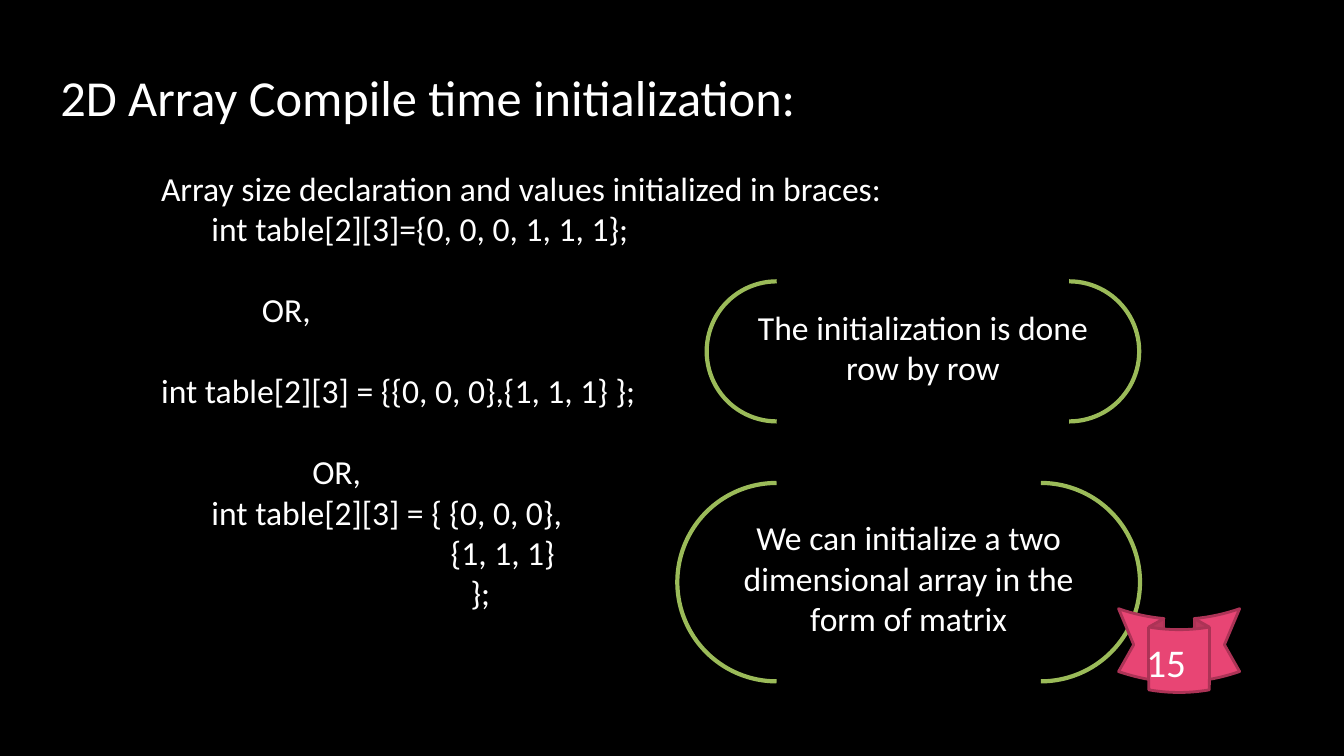
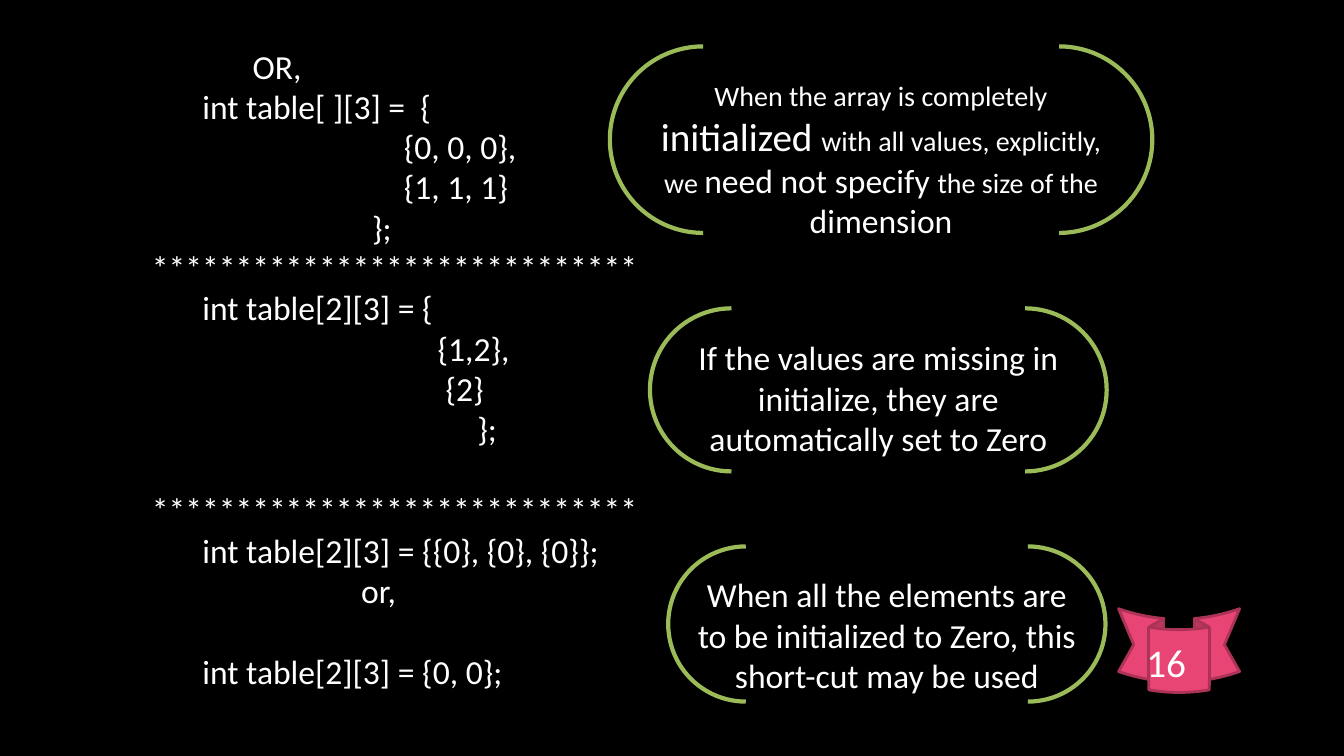
"""Two slides on initializing two-dimensional arrays in C."""
from pptx import Presentation
from pptx.dml.color import RGBColor
from pptx.enum.shapes import MSO_SHAPE
from pptx.enum.text import MSO_ANCHOR, PP_ALIGN
from pptx.util import Cm, Pt

BRACKET, RIBBON = MSO_SHAPE.DOUBLE_BRACKET, MSO_SHAPE.CURVED_DOWN_RIBBON
TOP, MIDDLE = MSO_ANCHOR.TOP, MSO_ANCHOR.MIDDLE
LEFT, CENTER, RIGHT = PP_ALIGN.LEFT, PP_ALIGN.CENTER, PP_ALIGN.RIGHT
BLACK, WHITE, GREEN = "000000", "FFFFFF", "9BBB59"
PINK, DARK_PINK = "E84574", "AC3356"
FONT = "Calibri"
BODY, LINE = 24, 29
TAB = 1.27
STARS = "*" * 29

COMPILE_TIME_CODE = [
    (0, 0, "Array size declaration and values initialized in braces:"),
    (TAB, 0, "int table[2][3]={0, 0, 0, 1, 1, 1};"),
    (2 * TAB, 1, "OR,"),
    (0, 1, "int table[2][3] = {{0, 0, 0},{1, 1, 1} };"),
    (3 * TAB, 1, "OR,"),
    (TAB, 0, "int table[2][3] = { {0, 0, 0},"),
    (7.3, 0, "{1, 1, 1}"),
    (7.8, 0, "};"),
]
COMPILE_TIME_NOTES = [
    ((17.81, 7.09, 10.9, 3.53), [("The initialization is done row by row", BODY)]),
    ((17.07, 12.17, 11.66, 5),
     [("We can initialize a two dimensional array in the form of matrix", BODY)]),
]
SHORT_FORM_CODE = [
    (2 * TAB, 0, "OR,"),
    (TAB, 0, "int table[ ][3] =  {"),
    (5 * TAB, 0, "{0, 0, 0},"),
    (5 * TAB, 0, "{1, 1, 1}"),
    (5.55, 0, "};"),
    (0, 0, STARS),
    (TAB, 0, "int table[2][3] = {"),
    (7.2, 0, "{1,2},"),
    (7.4, 0, "{2}"),
    (8.2, 0, "};"),
    (0, 1, STARS),
    (TAB, 0, "int table[2][3] = {{0}, {0}, {0}};"),
    (5.27, 0, "or,"),
    (TAB, 1, "int table[2][3] = {0, 0};"),
]
SHORT_FORM_NOTES = [
    ((15.37, 1.17, 13.67, 4.7),
     [("When the array is completely ", 20), ("initialized ", 28),
      ("with all values, explicitly, we ", 20), ("need not specify ", BODY),
      ("the size of the ", 20), ("dimension", BODY)]),
    ((16.38, 7.77, 11.51, 4.11),
     [("If the values are missing in initialize, they are automatically set to Zero", BODY)]),
    ((16.84, 13.77, 11.02, 3.91),
     [("When all the elements are to be initialized to Zero, this short-cut may be used",
       BODY)]),
]


def rgb(value):
    """Turn a hex string into a colour."""
    return RGBColor.from_string(value)


def style(p, size, align=LEFT):
    """Set the shared font, a size and an alignment on a paragraph."""
    p.alignment = align
    p.font.name, p.font.size = FONT, Pt(size)
    p.font.color.rgb = rgb(WHITE)


def add_text(s, box, lines, size, align=LEFT, anchor=TOP):
    """Add a text box of (indent in cm, blank lines before, text) lines."""
    tf = s.shapes.add_textbox(*map(Cm, box)).text_frame
    tf.word_wrap, tf.vertical_anchor = True, anchor
    for i, (indent, gap, text) in enumerate(lines):
        p = tf.add_paragraph() if i else tf.paragraphs[0]
        p.text = text
        style(p, size, align)
        p.space_before = Pt(gap * LINE)
        pPr = p._p.get_or_add_pPr()
        pPr.set("marL", str(Cm(indent)))
        pPr.set("indent", "0")


def add_outlined(s, kind, box, line, width):
    """Add a preset shape with an outline and no shadow."""
    sp = s.shapes.add_shape(kind, *map(Cm, box))
    sp.shadow.inherit = False
    sp.line.color.rgb, sp.line.width = rgb(line), Pt(width)
    return sp


def add_note(s, box, runs):
    """Add a remark between round green brackets."""
    sp = add_outlined(s, BRACKET, box, GREEN, 3)
    sp.adjustments[0] = 0.5
    sp.fill.background()
    tf = sp.text_frame
    tf.word_wrap, tf.vertical_anchor = True, TOP
    tf.margin_left = tf.margin_right = tf.margin_top = tf.margin_bottom = Cm(0.13)
    p = tf.paragraphs[0]
    style(p, BODY, CENTER)
    for text, size in runs:
        r = p.add_run()
        r.text, r.font.size = text, Pt(size)


def add_page_badge(s, left, top, number):
    """Add the ribbon that carries the page number."""
    sp = add_outlined(s, RIBBON, (left, top, 3.05, 2.11), DARK_PINK, 2)
    sp.fill.solid()
    sp.fill.fore_color.rgb = rgb(PINK)
    add_text(s, (left + 0.43, top + 0.81, 1.52, 1.04), [(0, 0, str(number))],
             28, RIGHT, MIDDLE)


def add_code_slide(prs, number, code_box, code, notes, title=None):
    """Add a slide with code on the left and bracketed notes on the right."""
    s = prs.slides.add_slide(prs.slide_layouts[6])
    if title:
        add_text(s, (1.27, 1.55, 22.7, 1.8), [(0, 0, title)], 36)
    add_text(s, code_box, code, BODY)
    for box, runs in notes:
        add_note(s, box, runs)
    add_page_badge(s, 28.19, 15.34, number)


def main():
    """Build and save the presentation."""
    prs = Presentation()
    prs.slide_width, prs.slide_height = Cm(33.87), Cm(19.05)
    fill = prs.slide_master.background.fill
    fill.solid()
    fill.fore_color.rgb = rgb(BLACK)
    add_code_slide(prs, 15, (3.81, 4.11, 20.2, 11.6), COMPILE_TIME_CODE,
                   COMPILE_TIME_NOTES, "2D Array Compile time initialization:")
    add_code_slide(prs, 16, (3.58, 1.02, 12.8, 16.7), SHORT_FORM_CODE,
                   SHORT_FORM_NOTES)
    prs.save("out.pptx")


if __name__ == "__main__":
    main()
